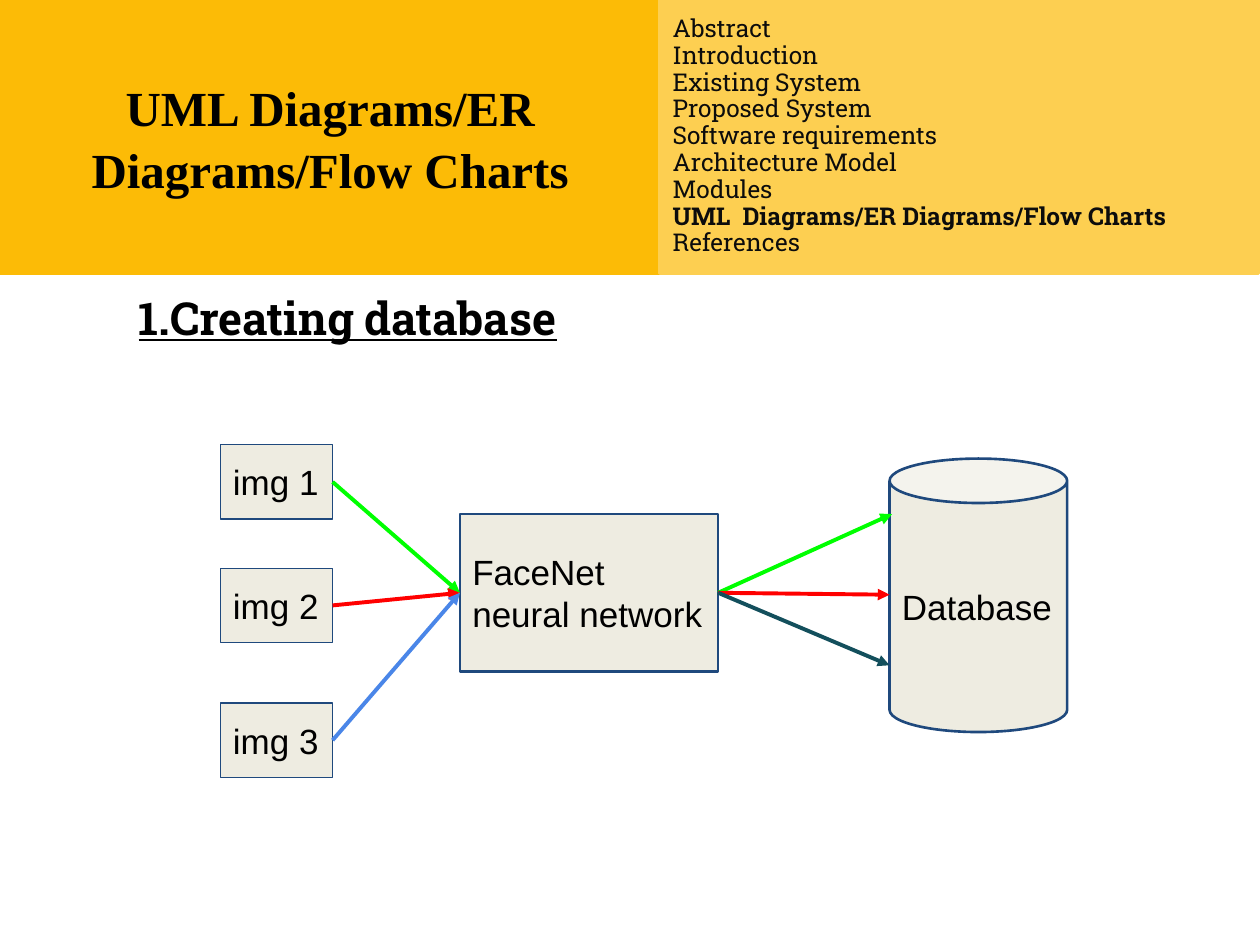
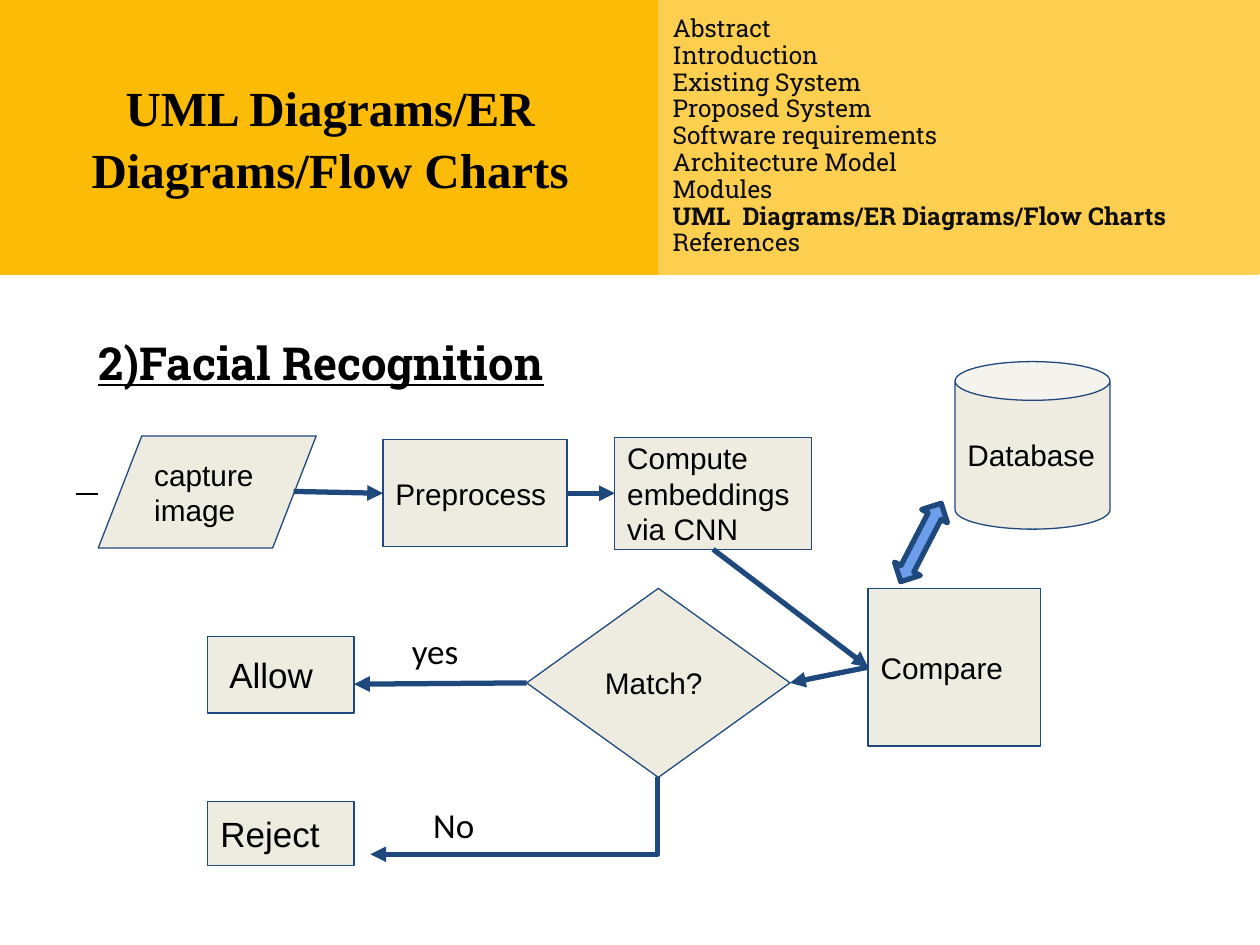
"""Build two flow-chart slides on face recognition under a shared header band."""
from dataclasses import dataclass

from lxml.etree import SubElement
from pptx import Presentation
from pptx.dml.color import RGBColor
from pptx.enum.shapes import MSO_CONNECTOR, MSO_SHAPE
from pptx.enum.text import MSO_ANCHOR, PP_ALIGN
from pptx.oxml.ns import qn
from pptx.util import Inches, Pt


@dataclass(frozen=True)
class Theme:
    band: str = "FCBB06"
    agenda: str = "FDCF51"
    agenda_text: str = "0C0C0C"
    text: str = "000000"
    node: str = "EEECE1"
    edge: str = "1F497D"
    sync: str = "6D9EEB"
    green: str = "00FF00"
    red: str = "FF0000"
    blue: str = "4A86E8"
    teal: str = "134F5C"
    slab: str = "Roboto Slab"
    serif: str = "Times New Roman"
    sans: str = "Arial"
    label: str = "Calibri"
    title_size: int = 28
    heading_size: int = 26
    large: int = 20
    medium: int = 17
    agenda_size: int = 14


T = Theme()
TOP, LEFT, BOTTOM, RIGHT = range(4)
RECT, CAN, DIAMOND = MSO_SHAPE.RECTANGLE, MSO_SHAPE.CAN, MSO_SHAPE.DIAMOND
DATA = MSO_SHAPE.FLOWCHART_DATA

TITLE = "UML Diagrams/ER Diagrams/Flow Charts"
CURRENT = "UML  Diagrams/ER Diagrams/Flow Charts"
AGENDA = ["Abstract", "Introduction", "Existing System", "Proposed System",
          "Software requirements", "Architecture Model", "Modules", CURRENT,
          "References"]
BAND_H, BAND_SPLIT, AGENDA_W = 2.17, 5.24, 4.75

IMAGES = [("img 1", 3.53), ("img 2", 4.51), ("img 3", 5.58)]
NETWORK = "FaceNet neural network"
EMBED = "Compute embeddings via CNN"

DATABASE_NODES = [
    *[(name, RECT, (1.75, y, 0.89, 0.59), T.large, 0.75) for name, y in IMAGES],
    (NETWORK, RECT, (3.65, 4.08, 2.05, 1.25), T.large, 1.5),
    ("Database", CAN, (7.06, 3.64, 1.41, 2.17), T.large, 1.5),
]
DATABASE_LINKS = [
    *[((name, RIGHT), (NETWORK, LEFT), color)
      for (name, _), color in zip(IMAGES, (T.green, T.red, T.blue))],
    ((NETWORK, RIGHT), (7.08, 4.08), T.green),
    ((NETWORK, RIGHT), (7.06, 4.72), T.red),
    ((NETWORK, RIGHT), (7.06, 5.28), T.teal),
]

RECOGNITION_NODES = [
    ("capture image", DATA, (0.78, 3.46, 1.73, 0.89), T.medium, 0.75),
    ("Preprocess", RECT, (3.04, 3.49, 1.46, 0.85), T.medium, 0.75),
    (EMBED, RECT, (4.88, 3.47, 1.56, 0.89), T.medium, 0.75),
    ("Compare", RECT, (6.89, 4.67, 1.37, 1.25), T.medium, 0.75),
    ("Database", CAN, (7.58, 2.87, 1.23, 1.33), T.medium, 0.75),
    ("Match?", DIAMOND, (4.18, 4.67, 2.09, 1.5), T.medium, 0.75),
    ("Allow", RECT, (1.65, 5.05, 1.16, 0.61), T.large, 0.75),
    ("Reject", RECT, (1.65, 6.36, 1.16, 0.51), T.large, 0.75),
]
RECOGNITION_LINKS = [
    ((2.33, 3.9), ("Preprocess", LEFT), T.edge),
    (("Preprocess", RIGHT), (EMBED, LEFT), T.edge),
    ((EMBED, BOTTOM), ("Compare", LEFT), T.edge),
    (("Compare", LEFT), ("Match?", RIGHT), T.edge),
    (("Match?", LEFT), (2.81, 5.43), T.edge),
]
ANSWERS = [("yes", (3.17, 4.9, 0.87, 0.3)), ("No", (3.34, 6.28, 0.63, 0.38))]


def rgb(color):
    return RGBColor.from_string(color)


def set_frame(sp, inset_y, anchor=MSO_ANCHOR.TOP):
    tf = sp.text_frame
    tf.word_wrap = True
    tf.vertical_anchor = anchor
    tf.margin_left = tf.margin_right = Inches(0.1)
    tf.margin_top = tf.margin_bottom = Inches(inset_y)
    return tf


def add_run(p, text, font, size, color=T.text, bold=False, underline=False):
    r = p.add_run()
    r.text = text
    f = r.font
    f.name, f.size, f.bold, f.underline = font, Pt(size), bold, underline
    f.color.rgb = rgb(color)


def add_box(s, kind, at, fill, line, width, inset_y=0.1):
    sp = s.shapes.add_shape(kind, *map(Inches, at))
    sp.shadow.inherit = False
    sp.fill.solid()
    sp.fill.fore_color.rgb = rgb(fill)
    sp.line.color.rgb = rgb(line)
    sp.line.width = Pt(width)
    tf = set_frame(sp, inset_y, MSO_ANCHOR.MIDDLE)
    tf.paragraphs[0].alignment = PP_ALIGN.LEFT
    return sp


def add_text(s, at, text, font, size, inset_y=0.1, indent=0.0, **style):
    tf = set_frame(s.shapes.add_textbox(*map(Inches, at)), inset_y)
    tf.margin_left = Inches(0.1 + indent)
    add_run(tf.paragraphs[0], text, font, size, **style)


def add_line(s, start, end, color, width, arrow=True, kind=MSO_CONNECTOR.STRAIGHT):
    c = s.shapes.add_connector(kind, *map(Inches, (*start, *end)))
    c.line.color.rgb = rgb(color)
    c.line.width = Pt(width)
    if arrow:
        SubElement(c.line._get_or_add_ln(), qn("a:tailEnd"), type="triangle")
    SubElement(c._element.spPr, qn("a:effectLst"))
    return c


def add_corner(s, start, end, color, width):
    (x1, y1), (x2, y2) = start, end
    cx, cy = (x1 + x2) / 2, (y1 + y2) / 2
    w, h = abs(y2 - y1) / 2, abs(x2 - x1) / 2
    c = add_line(s, (cx - w, cy - h), (cx + w, cy + h), color, width,
                 kind=MSO_CONNECTOR.ELBOW)
    c._element.spPr.find(qn("a:prstGeom")).set("prst", "bentConnector2")
    c._element.spPr.find(qn("a:xfrm")).set("rot", str(90 * 60000))


def add_header(s):
    sp = add_box(s, RECT, (0, 0, BAND_SPLIT, BAND_H), T.band, T.band, 2, 0.05)
    p = sp.text_frame.paragraphs[0]
    p.alignment = PP_ALIGN.CENTER
    p.line_spacing = 1.05
    add_run(p, TITLE, T.serif, T.title_size, bold=True)
    sp = add_box(s, RECT, (BAND_SPLIT, 0, AGENDA_W, BAND_H), T.agenda, T.agenda, 2, 0.05)
    tf = sp.text_frame
    for i, item in enumerate(AGENDA):
        p = tf.add_paragraph() if i else tf.paragraphs[0]
        p.alignment = PP_ALIGN.LEFT
        p.line_spacing = 0.91
        add_run(p, item, T.slab, T.agenda_size, T.agenda_text, bold=item == CURRENT)


def add_heading(s, at, text, inset_y, indent):
    add_text(s, at, text, T.slab, T.heading_size, inset_y, indent,
             bold=True, underline=True)


def add_flow(s, nodes, links, width):
    shapes = {}
    for name, kind, at, size, border in nodes:
        sp = shapes[name] = add_box(s, kind, at, T.node, T.edge, border)
        add_run(sp.text_frame.paragraphs[0], name, T.sans, size)
    for start, end, color in links:
        joins = [isinstance(e[0], str) for e in (start, end)]
        points = [(0, 0) if j else e for j, e in zip(joins, (start, end))]
        c = add_line(s, *points, color, width)
        if joins[0]:
            c.begin_connect(shapes[start[0]], start[1])
        if joins[1]:
            c.end_connect(shapes[end[0]], end[1])
    return shapes


def new_slide(prs):
    s = prs.slides.add_slide(prs.slide_layouts[6])
    add_header(s)
    return s


def build_database(prs):
    s = new_slide(prs)
    add_heading(s, (0.5, 2.25, 9, 4.45), "1.Creating database", 0.05, 0.5)
    add_flow(s, DATABASE_NODES, DATABASE_LINKS, 2.25)


def build_recognition(prs):
    s = new_slide(prs)
    add_heading(s, (0.5, 2.56, 9.34, 4.55), "2)Facial Recognition", 0.1, 0.18)
    add_line(s, (0.6, 3.92), (0.78, 3.92), T.text, 1.25, arrow=False)
    shapes = add_flow(s, RECOGNITION_NODES, RECOGNITION_LINKS, 3)
    shapes["Allow"].text_frame.margin_left = Inches(0.17)
    sync = add_box(s, MSO_SHAPE.LEFT_RIGHT_ARROW, (6.96, 4.19, 0.7, 0.23),
                   T.sync, T.edge, 3)
    sync.rotation = 297.3
    add_corner(s, (5.22, 6.17), (2.94, 6.78), T.edge, 3)
    for text, at in ANSWERS:
        add_text(s, at, text, T.label, T.large)


def main():
    prs = Presentation()
    prs.slide_width, prs.slide_height = Inches(10), Inches(7.5)
    build_database(prs)
    build_recognition(prs)
    prs.save("out.pptx")


if __name__ == "__main__":
    main()
